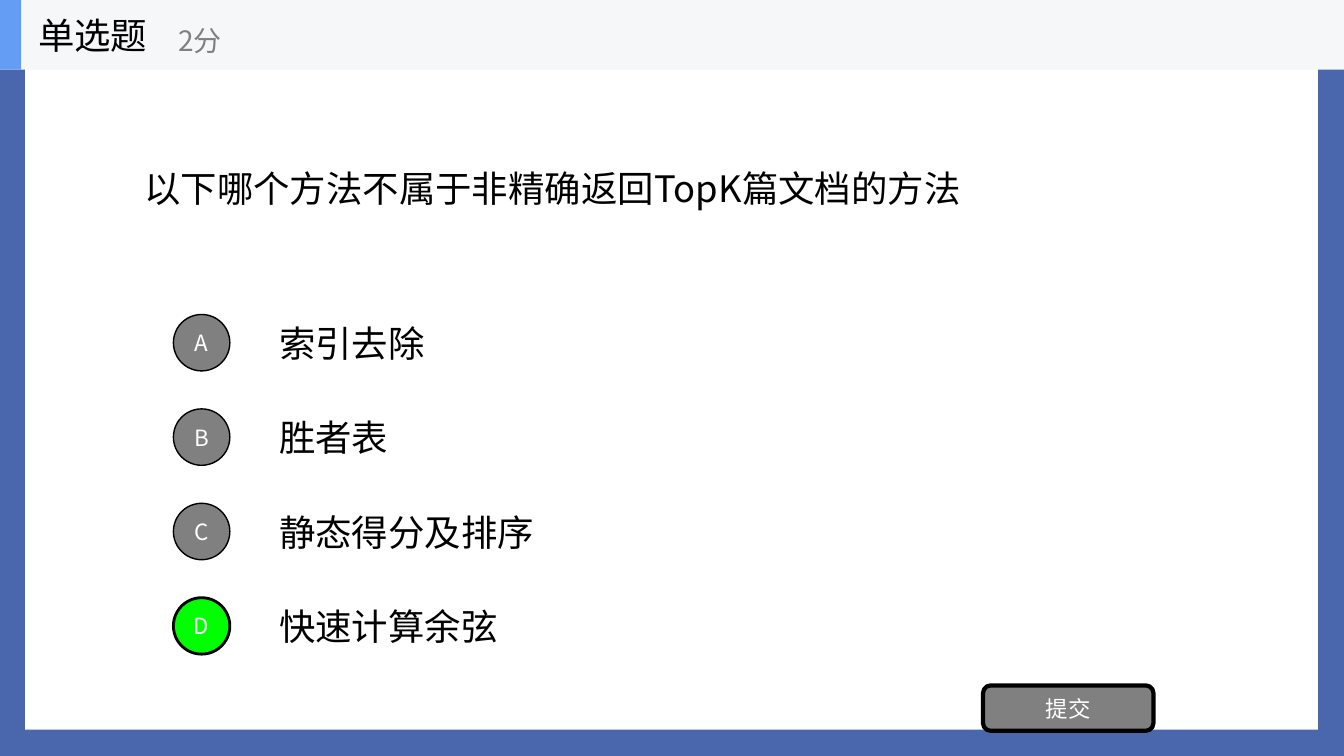
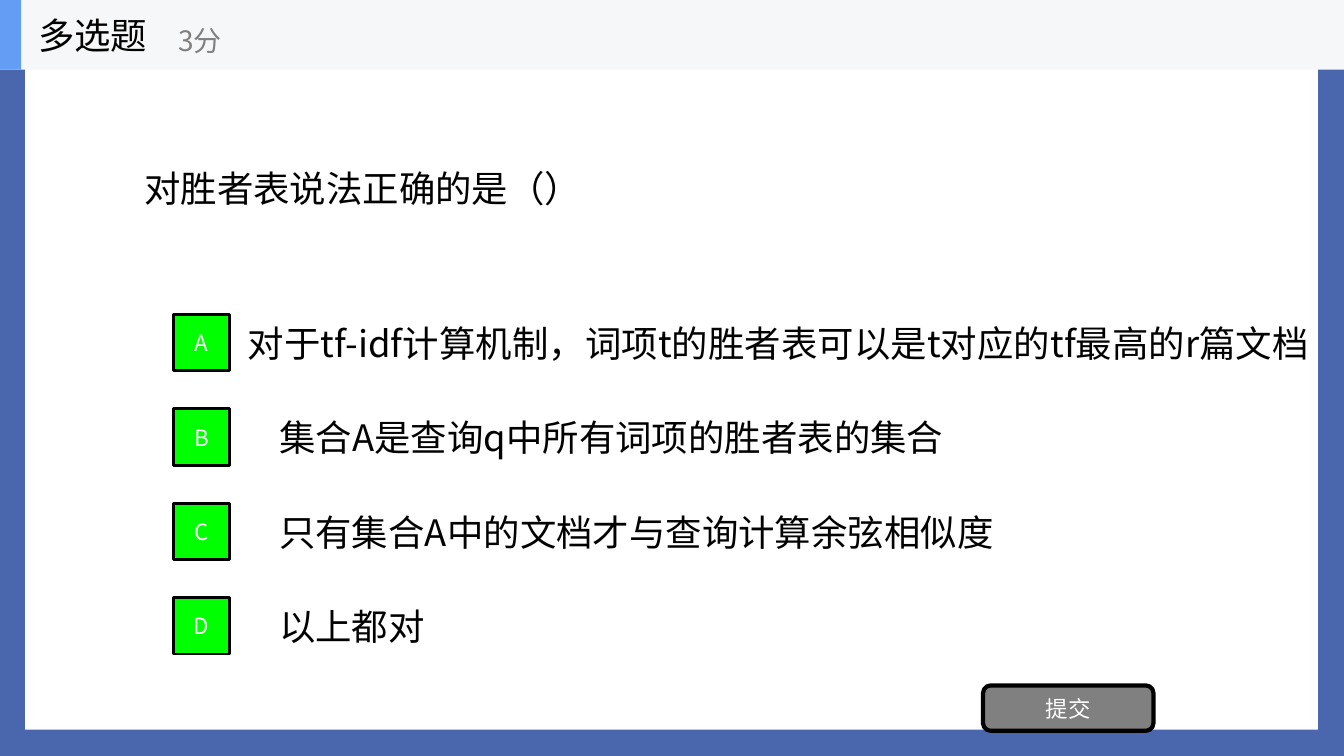
from dataclasses import dataclass
from typing import Any, NamedTuple

from lxml import etree
from pptx import Presentation
from pptx.dml.color import RGBColor
from pptx.enum import shapes as kinds, text as txt
from pptx.oxml import ns
from pptx.util import Inches, Pt

FONT = "Noto Sans CJK SC"
COLORS = {
    "frame": "4A66AC",
    "panel": "FFFFFF",
    "header": "F6F7F8",
    "accent": "639EF4",
    "ink": "000000",
    "grey": "808080",
    "correct": "00FF00",
    "light": "FFFFFF",
}
SHAPE = kinds.MSO_SHAPE
ALIGN = txt.PP_ALIGN

# Option grid
OPTION_TOP, OPTION_HEIGHT = 3.05, 0.7
OPTION_PITCH = 2.81 / 3
MARKER_LEFT, MARKER_SIZE = 1.72, 0.56


class Area(NamedTuple):
    left: float
    top: float
    width: float
    height: float

    def lengths(self) -> list[int]:
        return [Inches(value) for value in self]


@dataclass
class Option:
    label: str
    correct: bool = False
    left: float = 2.67
    width: float = 9.33


@dataclass
class Question:
    kind: str
    points: str
    prompt: str
    marker: Any
    options: list[Option]


QUESTIONS = [
    Question("单选题", "2分", "以下哪个方法不属于非精确返回TopK篇文档的方法", SHAPE.OVAL, [
        Option("索引去除"),
        Option("胜者表"),
        Option("静态得分及排序"),
        Option("快速计算余弦", correct=True),
    ]),
    Question("多选题", "3分", "对胜者表说法正确的是（）", SHAPE.RECTANGLE, [
        Option("对于tf-idf计算机制，词项t的胜者表可以是t对应的tf最高的r篇文档",
               correct=True, left=2.36, width=10.83),
        Option("集合A是查询q中所有词项的胜者表的集合", correct=True),
        Option("只有集合A中的文档才与查询计算余弦相似度", correct=True),
        Option("以上都对", correct=True),
    ]),
]


def rgb(name: str) -> RGBColor:
    return RGBColor.from_string(COLORS[name])


def write(box: Any, words: str, size: int, color: str, align: Any = ALIGN.LEFT) -> None:
    """Fill a shape with one vertically centred paragraph."""
    frame = box.text_frame
    frame.word_wrap = True
    frame.auto_size = txt.MSO_AUTO_SIZE.NONE
    frame.vertical_anchor = txt.MSO_ANCHOR.MIDDLE
    para = frame.paragraphs[0]
    para.text = words
    para.alignment = align
    para.font.size = Pt(size)
    para.font.color.rgb = rgb(color)
    para.font.name = FONT
    # East Asian typeface for the Chinese characters
    defaults = para._p.pPr.find(ns.qn("a:defRPr"))
    etree.SubElement(defaults, ns.qn("a:ea"), typeface=FONT)


def add_text(shapes: Any, area: Area, words: str, size: int = 26, color: str = "ink") -> None:
    write(shapes.add_textbox(*area.lengths()), words, size, color)


def add_block(shapes: Any, kind: Any, area: Area, fill: str, line: int = 0) -> Any:
    block = shapes.add_shape(kind, *area.lengths())
    block.shadow.inherit = False
    block.fill.solid()
    block.fill.fore_color.rgb = rgb(fill)
    if line:
        block.line.color.rgb = rgb("ink")
        block.line.width = Pt(line)
    else:
        block.line.fill.background()
    return block


def add_header(page: Any, question: Question) -> None:
    header = page.shapes.add_group_shape().shapes
    add_block(header, SHAPE.RECTANGLE, Area(0, 0, 13.33, 0.69), "header")
    add_block(header, SHAPE.RECTANGLE, Area(0, 0, 0.21, 0.69), "accent")
    add_text(header, Area(0.28, 0, 2.08, 0.69), question.kind)
    add_text(header, Area(1.67, 0.12, 2.5, 0.56), question.points, 20, "grey")


def add_option(page: Any, row: int, option: Option, marker: Any) -> None:
    top = OPTION_TOP + row * OPTION_PITCH
    add_text(page.shapes, Area(option.left, top, option.width, OPTION_HEIGHT), option.label)
    marker_top = top + (OPTION_HEIGHT - MARKER_SIZE) / 2
    fill, line = ("correct", 2) if option.correct else ("grey", 1)
    area = Area(MARKER_LEFT, marker_top, MARKER_SIZE, MARKER_SIZE)
    badge = add_block(page.shapes, marker, area, fill, line)
    write(badge, "ABCD"[row], 16, "light", ALIGN.CENTER)


def add_question(deck: Any, question: Question) -> None:
    page = deck.slides.add_slide(deck.slide_layouts.get_by_name("Title Only"))

    # Prompt on the white panel
    title = page.shapes.title
    title.left, title.top, title.width, title.height = Area(1.33, 0.69, 10.67, 2.34).lengths()
    write(title, question.prompt, 26, "ink")
    panel = add_block(page.shapes, SHAPE.RECTANGLE, Area(0.25, 0.27, 12.82, 6.97), "panel")
    title.element.addprevious(panel.element)

    # Answers and submit button
    for row, option in enumerate(question.options):
        add_option(page, row, option, question.marker)
    button = add_block(page.shapes, SHAPE.ROUNDED_RECTANGLE,
                       Area(9.75, 6.8, 1.69, 0.45), "grey", 3)
    write(button, "提交", 16, "light", ALIGN.CENTER)

    add_header(page, question)


def main() -> None:
    deck = Presentation()
    deck.slide_width, deck.slide_height = Inches(13.33), Inches(7.5)
    backdrop = deck.slide_master.background.fill
    backdrop.solid()
    backdrop.fore_color.rgb = rgb("frame")
    for question in QUESTIONS:
        add_question(deck, question)
    deck.save("out.pptx")


if __name__ == "__main__":
    main()
